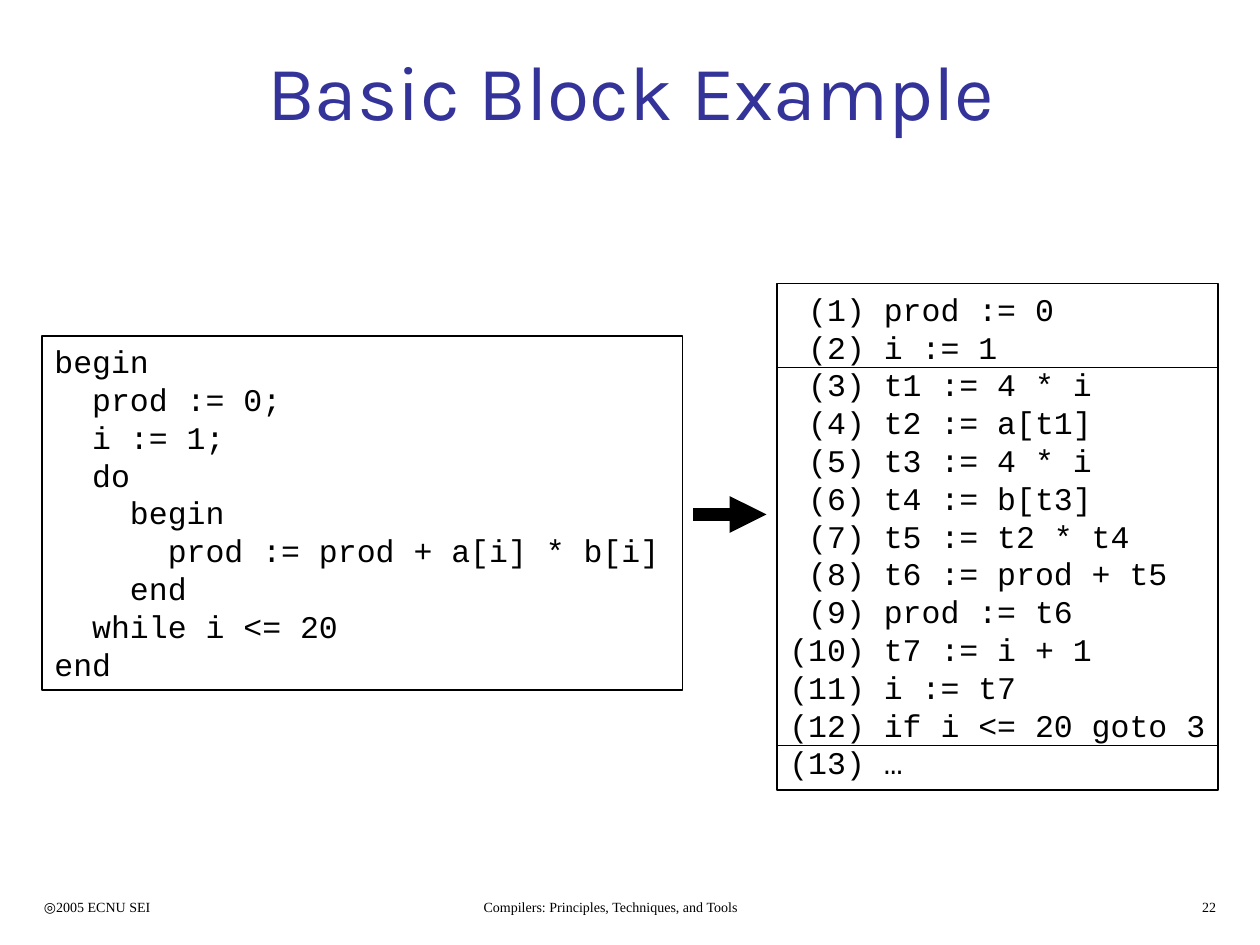
from dataclasses import dataclass

from lxml.etree import SubElement
from pptx import Presentation
from pptx.dml.color import RGBColor
from pptx.enum.shapes import MSO_CONNECTOR, MSO_SHAPE
from pptx.enum.text import MSO_ANCHOR, PP_ALIGN
from pptx.oxml.ns import qn
from pptx.util import Pt

COLORS = {"ink": "000000", "title": "333399"}
LINE_PITCH = 21.6


@dataclass
class Footer:
    text: str
    left: float
    width: float
    align: PP_ALIGN


@dataclass
class CodeBox:
    left: float
    top: float
    width: float
    height: float
    code: str


FOOTERS = [
    Footer("◎2005 ECNU SEI", 18, 136, PP_ALIGN.LEFT),
    Footer("Compilers: Principles, Techniques, and Tools", 206.6, 285, PP_ALIGN.CENTER),
    Footer("22", 565.2, 136.8, PP_ALIGN.RIGHT),
]

SOURCE = CodeBox(24, 192, 366, 202.3, """\
begin
  prod := 0;
  i := 1;
  do
    begin
      prod := prod + a[i] * b[i]
    end
  while i <= 20
end""")

BLOCKS = CodeBox(444, 162, 252, 289.4, """\
 (1) prod := 0
 (2) i := 1
 (3) t1 := 4 * i
 (4) t2 := a[t1]
 (5) t3 := 4 * i
 (6) t4 := b[t3]
 (7) t5 := t2 * t4
 (8) t6 := prod + t5
 (9) prod := t6
(10) t7 := i + 1
(11) i := t7
(12) if i <= 20 goto 3
(13) …""")


def rgb(name: str) -> RGBColor:
    return RGBColor.from_string(COLORS[name])


def add_run(p, text: str, font: str, size: float, color: str = "ink") -> None:
    r = p.add_run()
    r.text = text
    r.font.name, r.font.size = font, Pt(size)
    r.font.color.rgb = rgb(color)


def add_footer(s, f: Footer) -> None:
    tf = s.shapes.add_textbox(Pt(f.left), Pt(510), Pt(f.width), Pt(18)).text_frame
    tf.word_wrap = True
    p = tf.paragraphs[0]
    p.alignment = f.align
    add_run(p, f.text, "Times New Roman", 8)


def add_code(s, box: CodeBox) -> None:
    sp = s.shapes.add_shape(MSO_SHAPE.RECTANGLE, Pt(box.left), Pt(box.top),
                            Pt(box.width), Pt(box.height))
    sp.shadow.inherit = False
    sp.fill.background()
    sp.line.color.rgb, sp.line.width = rgb("ink"), Pt(0.75)
    tf = sp.text_frame
    tf.word_wrap = True
    tf.vertical_anchor = MSO_ANCHOR.TOP
    tf.margin_right = 0
    for i, line in enumerate(box.code.split("\n")):
        p = tf.add_paragraph() if i else tf.paragraphs[0]
        p.alignment = PP_ALIGN.LEFT
        p.line_spacing = Pt(LINE_PITCH)
        add_run(p, line, "Courier New", 18)


def add_line(s, x1: float, x2: float, y: float, width: float, arrow: bool = False) -> None:
    c = s.shapes.add_connector(MSO_CONNECTOR.STRAIGHT, Pt(x1), Pt(y), Pt(x2), Pt(y))
    c.line.color.rgb, c.line.width = rgb("ink"), Pt(width)
    if arrow:
        SubElement(c.line._get_or_add_ln(), qn("a:tailEnd"), type="triangle")
    SubElement(c._element.spPr, qn("a:effectLst"))


def main() -> None:
    prs = Presentation()
    prs.slide_width, prs.slide_height = Pt(720), Pt(540)
    s = prs.slides.add_slide(prs.slide_layouts[5])

    # Title
    title = s.shapes.title
    title.left, title.top, title.width, title.height = Pt(54), Pt(12), Pt(613.5), Pt(78)
    title.text_frame.vertical_anchor = MSO_ANCHOR.MIDDLE
    p = title.text_frame.paragraphs[0]
    p.alignment = PP_ALIGN.CENTER
    add_run(p, "Basic Block Example", "Karla", 44, "title")

    # Footer line
    for f in FOOTERS:
        add_footer(s, f)

    # Source code and its three-address code
    for box in (SOURCE, BLOCKS):
        add_code(s, box)
    add_line(s, 396, 438, 294, 7, arrow=True)

    # Basic block boundaries, after instructions 2 and 12
    for count in (2, 12):
        add_line(s, BLOCKS.left, BLOCKS.left + BLOCKS.width,
                 BLOCKS.top + 4.8 + count * LINE_PITCH, 0.75)

    prs.save("out.pptx")


if __name__ == "__main__":
    main()
